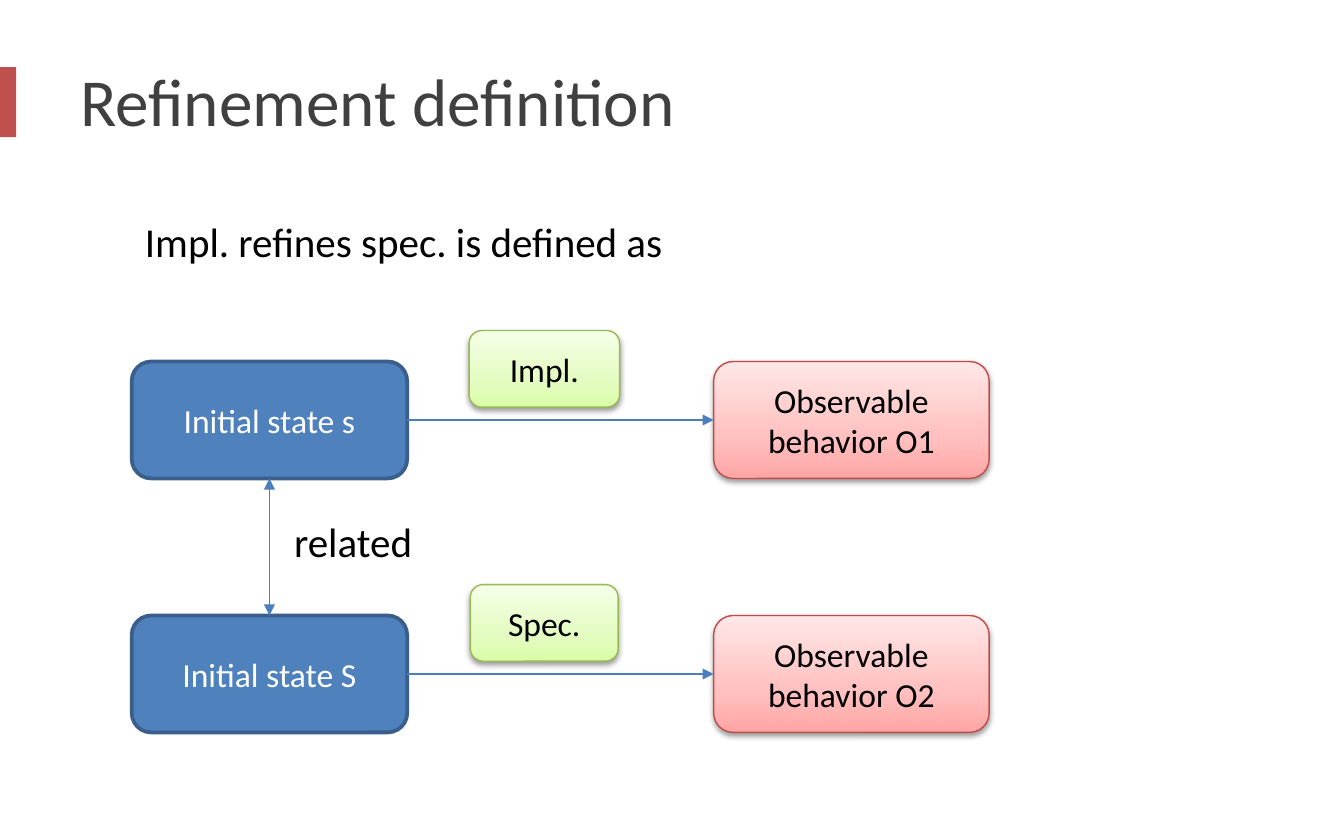
from dataclasses import dataclass

from lxml.etree import SubElement
from pptx import Presentation
from pptx.dml.color import RGBColor
from pptx.enum.shapes import MSO_CONNECTOR, MSO_SHAPE
from pptx.enum.text import MSO_ANCHOR, PP_ALIGN
from pptx.oxml.ns import qn
from pptx.util import Inches, Pt


@dataclass(frozen=True)
class Theme:
    font: str = "Calibri"
    title_size: int = 36
    text_size: int = 22
    box_size: int = 18
    accent: str = "C0504D"
    title: str = "404040"
    dark: str = "000000"
    light: str = "FFFFFF"
    arrow: str = "4B7EBC"
    state: tuple = ("4F81BD",)
    state_line: str = "3A5F8C"
    behavior: tuple = ("FFA6A5", "FFC0BF", "FFE7E7")
    behavior_line: str = "BF4C48"
    program: tuple = ("DAFDA7", "E4FCC2", "F5FFE7")
    program_line: str = "98B955"


THEME = Theme()
GRADIENT_POSITIONS = (0, 35, 100)
LEFT, TOP = 0.98, 2.69
COLUMN_STEP, ROW_STEP = 4.33, 1.89
BOX_WIDTH, BOX_HEIGHT = 2.05, 0.87
TAG_HEIGHT, TAG_RISE = 0.57, 0.23
BOTTOM_SIDE, LEFT_SIDE, RIGHT_SIDE, TOP_SIDE = 2, 1, 3, 0


def color(value):
    return RGBColor.from_string(value)


def column_left(column):
    return LEFT + column * COLUMN_STEP


def row_top(row):
    return TOP + row * ROW_STEP


def write(shape, text, size, ink, align=PP_ALIGN.LEFT, anchor=MSO_ANCHOR.TOP):
    frame = shape.text_frame
    frame.word_wrap = True
    frame.vertical_anchor = anchor
    para = frame.paragraphs[0]
    para.text = text
    para.alignment = align
    para.font.name = THEME.font
    para.font.size = Pt(size)
    para.font.color.rgb = color(ink)


def add_label(page, text, area, size, ink, anchor=MSO_ANCHOR.TOP):
    box = page.shapes.add_textbox(*map(Inches, area))
    write(box, text, size, ink, anchor=anchor)


def fill_gradient(shape, colors):
    shape.fill.gradient()
    shape.fill.gradient_angle = 90
    stops = shape._element.spPr.find(qn("a:gradFill")).find(qn("a:gsLst"))
    for stop in list(stops):
        stops.remove(stop)
    for position, value in zip(GRADIENT_POSITIONS, colors):
        stop = SubElement(stops, qn("a:gs"), pos=str(position * 1000))
        SubElement(stop, qn("a:srgbClr"), val=value)


def add_shadow(shape):
    effects = shape._element.spPr.find(qn("a:effectLst"))
    shadow = SubElement(effects, qn("a:outerShdw"), blurRad=str(Pt(3.1)),
                        dist=str(Pt(1.6)), dir="5400000", rotWithShape="0")
    shade = SubElement(shadow, qn("a:srgbClr"), val=THEME.dark)
    SubElement(shade, qn("a:alpha"), val="38000")


def add_box(page, text, area, colors, outline, ink, weight=0.75):
    box = page.shapes.add_shape(MSO_SHAPE.ROUNDED_RECTANGLE, *map(Inches, area))
    box.shadow.inherit = False
    if len(colors) > 1:
        fill_gradient(box, colors)
        add_shadow(box)
    else:
        box.fill.solid()
        box.fill.fore_color.rgb = color(colors[0])
    box.line.color.rgb = color(outline)
    box.line.width = Pt(weight)
    write(box, text, THEME.box_size, ink, PP_ALIGN.CENTER, MSO_ANCHOR.MIDDLE)
    return box


def add_state(page, text, row):
    area = column_left(0), row_top(row), BOX_WIDTH, BOX_HEIGHT
    return add_box(page, text, area, THEME.state, THEME.state_line, THEME.light, 2)


def add_behavior(page, text, row):
    area = column_left(1), row_top(row), BOX_WIDTH, BOX_HEIGHT
    return add_box(page, text, area, THEME.behavior, THEME.behavior_line, THEME.dark)


def add_program(page, text, row, width):
    middle = (column_left(0) + BOX_WIDTH + column_left(1)) / 2 - 0.12
    area = middle - width / 2, row_top(row) - TAG_RISE, width, TAG_HEIGHT
    add_box(page, text, area, THEME.program, THEME.program_line, THEME.dark)


def add_arrow(page, start, start_side, end, end_side, ends=("tailEnd",)):
    arrow = page.shapes.add_connector(MSO_CONNECTOR.STRAIGHT, 0, 0, 0, 0)
    arrow.begin_connect(start, start_side)
    arrow.end_connect(end, end_side)
    arrow.line.color.rgb = color(THEME.arrow)
    arrow.line.width = Pt(0.75)
    properties = arrow._element.spPr
    for end_name in ends:
        SubElement(properties.find(qn("a:ln")), qn(f"a:{end_name}"), type="triangle")
    SubElement(properties, qn("a:effectLst"))


def add_title(page, text):
    bar = page.shapes.add_shape(MSO_SHAPE.RECTANGLE, 0, Inches(0.5), Inches(0.12), Inches(0.52))
    bar.shadow.inherit = False
    bar.fill.solid()
    bar.fill.fore_color.rgb = color(THEME.accent)
    bar.line.fill.background()
    add_label(page, text, (0.5, 0.25, 9, 0.98), THEME.title_size, THEME.title, MSO_ANCHOR.MIDDLE)


def main():
    deck = Presentation()
    deck.slide_width, deck.slide_height = Inches(10), Inches(6.25)
    page = deck.slides.add_slide(deck.slide_layouts[6])

    add_title(page, "Refinement definition")
    add_label(page, "Impl. refines spec. is defined as", (LEFT, 1.56, 6.85, 0.47),
              THEME.text_size, THEME.dark)

    rows = (
        ("Initial state s", "Impl.", 1.12, "Observable behavior O1"),
        ("Initial state S", "Spec.", 1.1, "Observable behavior O2"),
    )
    states = []
    for row, (state_text, program, width, behavior_text) in enumerate(rows):
        state = add_state(page, state_text, row)
        behavior = add_behavior(page, behavior_text, row)
        add_arrow(page, state, RIGHT_SIDE, behavior, LEFT_SIDE)
        add_program(page, program, row, width)
        states.append(state)

    add_arrow(page, states[0], BOTTOM_SIDE, states[1], TOP_SIDE, ("headEnd", "tailEnd"))
    add_label(page, "related", (2.09, 3.79, 1.5, 0.47), THEME.text_size, THEME.dark)
    deck.save("out.pptx")


if __name__ == "__main__":
    main()
